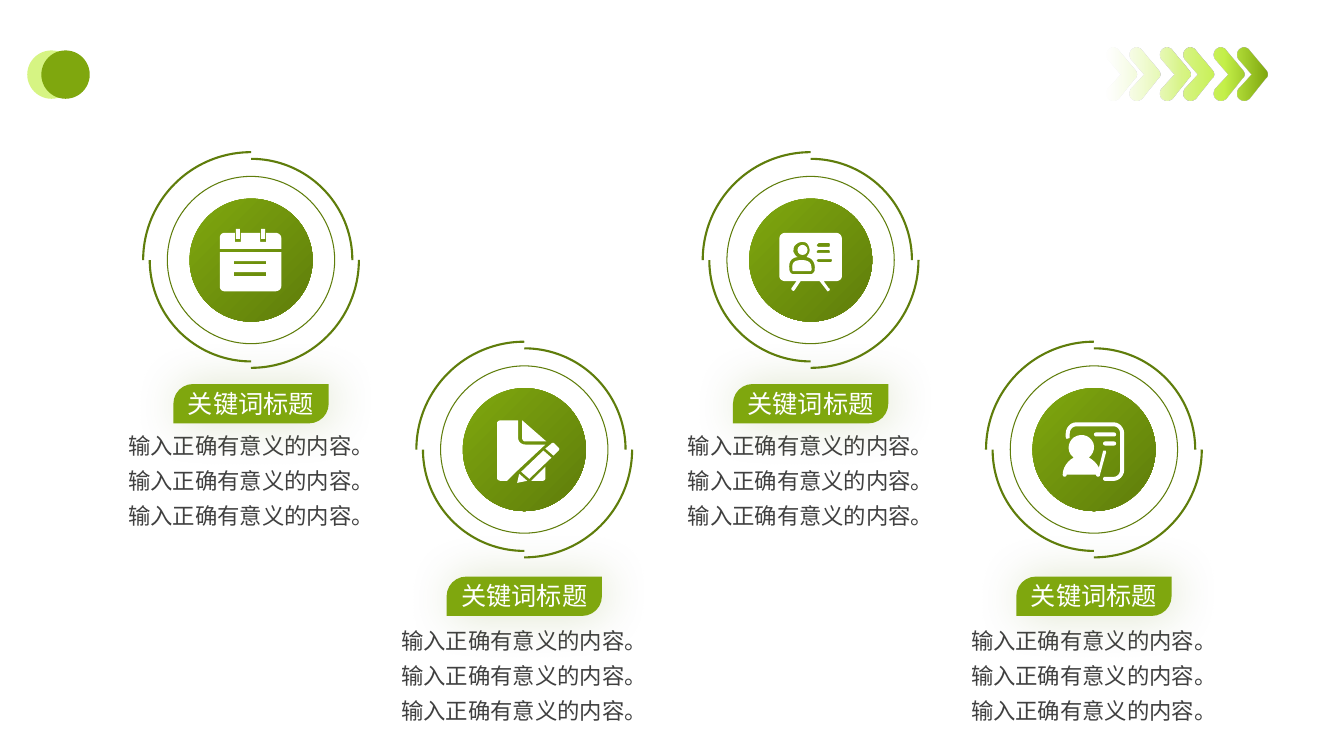
from lxml import etree
from pptx import Presentation
from pptx.dml.color import RGBColor
from pptx.enum.shapes import MSO_SHAPE
from pptx.enum.text import MSO_AUTO_SIZE, PP_ALIGN
from pptx.oxml.ns import qn
from pptx.util import Inches, Pt

ARC = MSO_SHAPE.ARC
OVAL = MSO_SHAPE.OVAL
RECT = MSO_SHAPE.RECTANGLE
ROUNDED = MSO_SHAPE.ROUNDED_RECTANGLE
LABEL = MSO_SHAPE.ROUND_2_DIAG_RECTANGLE
CENTER = PP_ALIGN.CENTER
GROW = MSO_AUTO_SIZE.SHAPE_TO_FIT_TEXT

GREEN = "7FA70E"
DARK = "5F7D0B"
LIME = "C4F049"
WHITE = "FFFFFF"
GREY = "404040"

CHEVRON = (
    "M1105,47 C1107,48,1109,48,1110,50 L1126,69 C1129,72,1129,76,1126,78 L1110,98 "
    "C1108,99,1107,100,1105,100,1103,100,1101,99,1100,98,1097,96,1097,91,1099,88 "
    "L1112,74,1099,59 C1097,56,1097,52,1100,49,1102,48,1103,47,1105,47"
)
CALENDAR_PAGE = (
    "M218,250 L218,284 C218,287,220,289,223,289 L273,289 C276,289,279,287,279,284 L279,250 "
    "M264,274 L232,274,232,270,264,270 M264,262 L232,262,232,259,264,259"
)
CALENDAR_TOP = (
    "M279,236 C279,233,276,231,273,231 L264,231,264,240,258,240,258,231,239,231,239,240,"
    "233,240,233,231,223,231 C220,231,218,233,218,236 L218,247,279,247"
)
PAPER_AND_PENCIL = (
    "M521,441 C517,441,514,438,514,435 L514,417,497,417 C495,417,493,418,493,420 "
    "L493,474 C493,476,495,477,497,477 L503,477,512,468,541,441 "
    "M521,438 L542,438,518,417,518,435 C518,436,519,438,521,438 "
    "M538,477 C540,477,541,476,541,474 L541,463,527,477 "
    "M554,444 L550,440 C549,439,548,439,547,440 L541,445,549,452,554,447 "
    "C555,446,555,445,554,444 "
    "M517,468 L525,475,547,454,539,447 M513,479 L523,477,515,470"
)
BOARD_FRAME = (
    "M829,231 L779,231 C776,231,773,233,773,237 L773,274 C773,277,776,279,779,279 "
    "L790,279,785,286 C785,287,785,288,786,288,786,289,787,289,788,288 L794,279,813,279,"
    "820,288 C820,288,820,289,821,289,822,289,823,288,823,287,823,287,823,286,822,286 "
    "L817,279,829,279 C832,279,835,277,835,274 L835,237 C835,233,832,231,829,231"
)
BOARD_PORTRAIT = (
    "M808,268 C808,270,806,272,804,272 L787,272 C785,272,783,270,783,268,782,260,784,256,"
    "791,255,789,254,788,252,787,250,787,248,787,245,788,244,791,240,796,239,800,241,"
    "803,244,804,249,802,252,801,253,801,254,800,255,806,256,809,261,808,268"
)
BOARD_LINES = (
    "M811,242 C811,242,812,241,812,241 L822,241 C823,241,823,242,823,243,823,244,823,245,"
    "822,245 L812,245 C811,245,810,244,810,243,810,243,811,242,811,242 "
    "M822,248 C823,248,823,249,823,250,823,251,823,251,822,251 L812,251 "
    "C811,251,810,251,810,250,810,249,811,248,812,248 "
    "M824,260 L812,260 C811,260,810,259,810,258,810,258,811,257,812,257 L824,257 "
    "C825,257,825,257,825,258,825,259,825,260,824,260"
)
BOARD_BODY = (
    "M795,258 C787,258,785,261,786,268,786,268,786,269,787,269 L804,269 "
    "C804,269,805,268,805,268,805,261,803,258,795,258"
)
SPEAKER = (
    "M1087,471 C1087,472,1088,472,1088,473,1089,473,1089,473,1089,473,"
    "1090,473,1091,472,1091,472 L1091,471,1097,449 C1097,448,1097,447,1096,447,"
    "1095,447,1094,447,1094,448 L1090,464 C1088,460,1084,456,1080,454,"
    "1085,450,1087,442,1083,437,1079,431,1071,430,1065,434,1060,438,1058,445,1062,451,"
    "1063,452,1064,453,1065,454,1059,457,1054,464,1054,471,"
    "1054,472,1055,473,1056,473,1057,473,1058,472,1058,471"
)
SCREEN = (
    "M1105,419 L1067,419 C1062,419,1057,424,1057,430 L1057,433 C1057,435,1058,436,1059,435,"
    "1060,435,1061,435,1061,433 L1061,430 C1061,426,1064,423,1067,423 L1105,423 "
    "C1108,423,1111,426,1111,430 L1111,466 C1111,470,1108,473,1105,473 L1096,473 "
    "C1095,473,1094,474,1094,475,1094,476,1095,477,1096,477 L1105,477 "
    "C1110,477,1115,472,1115,466 L1115,430 C1115,424,1110,419,1105,419"
)


def rgb(value):
    return RGBColor.from_string(value)


def bezier(p0, p1, p2, p3, steps=6):
    for i in range(1, steps + 1):
        t = i / steps
        u = 1 - t
        yield tuple(u**3 * a + 3 * u * u * t * b + 3 * u * t * t * c + t**3 * d
                    for a, b, c, d in zip(p0, p1, p2, p3))


def contours(*outlines):
    result = []
    for token in " ".join(outlines).split():
        nums = [float(n) for n in token[1:].split(",")]
        points = list(zip(nums[::2], nums[1::2]))
        if token[0] == "M":
            result.append(points)
        elif token[0] == "L":
            result[-1].extend(points)
        else:
            for i in range(0, len(points), 3):
                result[-1].extend(bezier(result[-1][-1], *points[i:i + 3]))
    return result


class Deck:
    def __init__(self):
        self.prs = Presentation()
        self.prs.slide_width, self.prs.slide_height = Inches(13.33), Inches(7.5)
        self.s = self.prs.slides.add_slide(self.prs.slide_layouts[6])

    def color(self, parent, value, alpha):
        clr = etree.SubElement(parent, qn("a:srgbClr"), val=value)
        etree.SubElement(clr, qn("a:alpha"), val=str(alpha * 1000))

    def paint(self, sp, fill=None, line=None, width=0.75):
        sp.shadow.inherit = False
        if fill:
            sp.fill.solid()
            sp.fill.fore_color.rgb = rgb(fill)
        else:
            sp.fill.background()
        if line:
            sp.line.color.rgb = rgb(line)
            sp.line.width = Pt(width)
        else:
            sp.line.fill.background()
        return sp

    def shape(self, kind, x, y, w, h, **style):
        sp = self.s.shapes.add_shape(kind, Inches(x), Inches(y), Inches(w), Inches(h))
        return self.paint(sp, **style)

    def circle(self, cx, cy, size, kind=OVAL, **style):
        return self.shape(kind, cx - size / 2, cy - size / 2, size, size, **style)

    def freeform(self, outlines):
        builder = None
        for outline in outlines:
            points = [(Inches(x / 100), Inches(y / 100)) for x, y in outline]
            if builder is None:
                builder = self.s.shapes.build_freeform(*points[0])
            else:
                builder.move_to(*points[0])
            builder.add_line_segments(points[1:], close=True)
        return self.paint(builder.convert_to_shape(), fill=WHITE)

    def gradient(self, sp, stops, angle):
        sp.fill.gradient()
        sp.fill.gradient_angle = -angle % 360
        stop_list = sp._element.spPr.find(qn("a:gradFill")).find(qn("a:gsLst"))
        for old in list(stop_list):
            stop_list.remove(old)
        for pos, value, alpha in stops:
            gs = etree.SubElement(stop_list, qn("a:gs"), pos=str(pos * 1000))
            self.color(gs, value, alpha)

    def text(self, x, y, w, h, words, size, font, color, wrap, spacing=1.0):
        tf = self.s.shapes.add_textbox(Inches(x), Inches(y), Inches(w), Inches(h)).text_frame
        tf.word_wrap = wrap
        tf.auto_size = GROW
        p = tf.paragraphs[0]
        p.text = words
        p.alignment = CENTER
        p.line_spacing = spacing
        p.font.size, p.font.name = Pt(size), font
        p.font.color.rgb = rgb(color)

    def rings(self, cx, cy):
        for size, turn in ((2.14, 0), (2.01, 90)):
            for flip in ("flipV", "flipH"):
                sp = self.circle(cx, cy, size, ARC, line=DARK, width=1.5)
                sp.rotation = turn
                sp._element.spPr.xfrm.set(flip, "1")
        self.circle(cx, cy, 1.66, line=DARK)
        disc = self.circle(cx, cy, 1.22, fill=WHITE)
        self.gradient(disc, ((0, GREEN, 100), (100, DARK, 100)), 45)

    def label(self, cx, y, words):
        sp = self.shape(LABEL, cx - 0.77, y, 1.54, 0.39, fill=GREEN)
        sp.adjustments[0], sp.adjustments[1] = 0.5, 0
        effects = sp._element.spPr.find(qn("a:effectLst"))
        shadow = etree.SubElement(effects, qn("a:outerShdw"), blurRad=str(Pt(34)),
                                  dist=str(Pt(3)), dir="0", algn="ctr", rotWithShape="0")
        self.color(shadow, DARK, 20)
        self.text(cx - 0.73, y - 0.01, 1.46, 0.4, words, 18, "Cabin", WHITE, False)

    def card(self, cx, cy, label_y, body_y, *icon):
        self.text(cx - 1.34, body_y, 2.68, 1.13, "输入正确有意义的内容。" * 3,
                  16, "Roboto", GREY, True, 1.3)
        self.label(cx, label_y, "关键词标题")
        self.rings(cx, cy)
        for part in icon:
            self.freeform(part)


def main():
    deck = Deck()
    back = deck.circle(0.51, 0.74, 0.48, fill=LIME)
    back_fill = back._element.spPr.find(qn("a:solidFill"))
    etree.SubElement(back_fill[0], qn("a:alpha"), val="68000")
    deck.circle(0.65, 0.74, 0.48, fill=GREEN)

    chevron = contours(CHEVRON)[0]
    arrows = deck.freeform([[(x + 53 * pair + 23 * second, y) for x, y in chevron]
                            for pair in range(3) for second in range(2)])
    deck.gradient(arrows, ((0, "EBFAC2", 0), (47, "D8F586", 100),
                           (73, LIME, 100), (100, GREEN, 100)), 0)

    upper, lower = (2.58, 3.81, 4.16), (4.46, 5.72, 6.09)
    deck.card(8.04, *upper, contours(BOARD_FRAME, BOARD_PORTRAIT, BOARD_LINES),
              contours(BOARD_BODY))
    deck.circle(7.96, 2.48, 0.1, fill=WHITE)
    deck.card(10.85, *lower, contours(SPEAKER), contours(SCREEN))
    for x, y, w in ((10.85, 4.29, 0.22), (10.94, 4.38, 0.13)):
        deck.shape(ROUNDED, x, y, w, 0.04, fill=WHITE).adjustments[0] = 0.5
    deck.card(5.2, *lower, contours(PAPER_AND_PENCIL))
    deck.card(2.49, *upper, contours(CALENDAR_PAGE), contours(CALENDAR_TOP))
    for x in (2.34, 2.59):
        deck.shape(RECT, x, 2.27, 0.04, 0.1, fill=WHITE)
    deck.prs.save("out.pptx")


if __name__ == "__main__":
    main()
